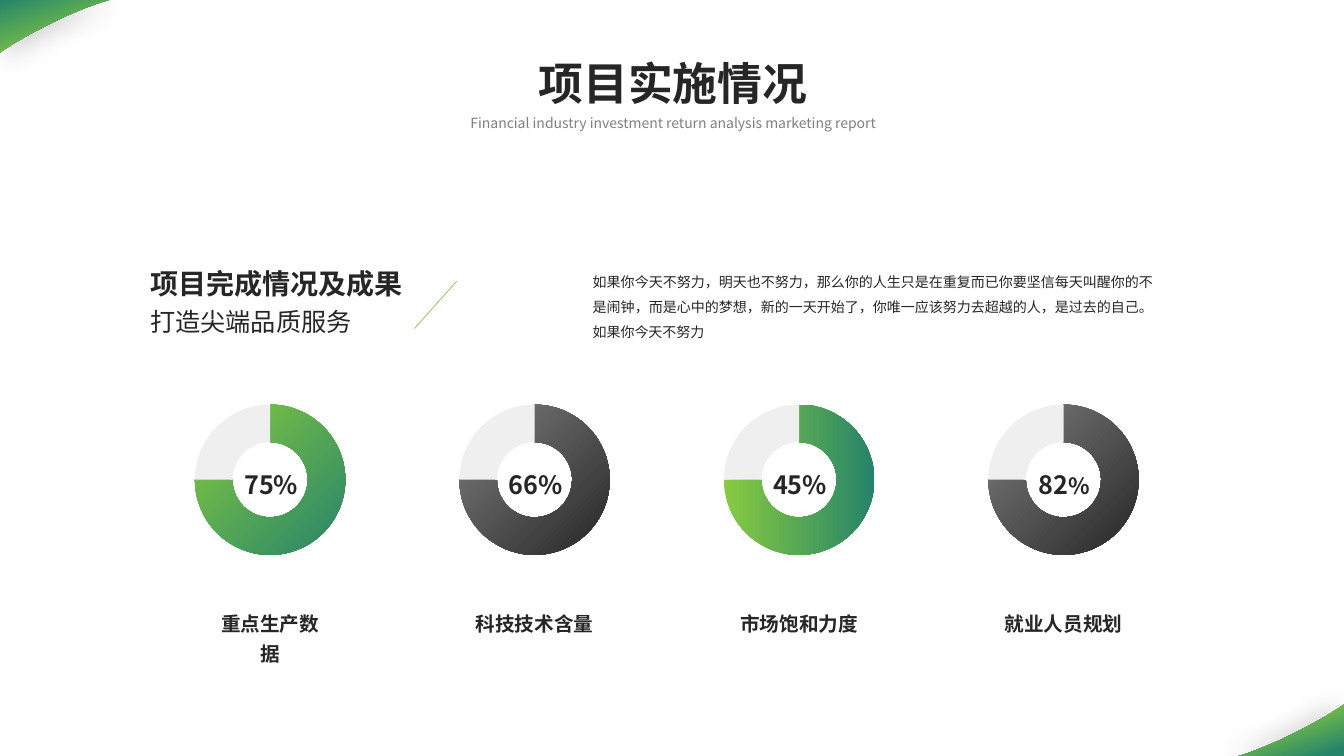
from lxml import etree
from pptx import Presentation
from pptx.chart.data import CategoryChartData
from pptx.dml.color import RGBColor
from pptx.enum.chart import XL_CHART_TYPE
from pptx.enum.shapes import MSO_CONNECTOR
from pptx.enum.text import MSO_ANCHOR, MSO_AUTO_SIZE, PP_ALIGN
from pptx.oxml import parse_xml
from pptx.oxml.ns import nsdecls, qn
from pptx.util import Inches, Pt

FONT = "Noto Sans CJK SC"
CHART_FONT = "Arial Narrow"
BLACK = RGBColor(0x00, 0x00, 0x00)
INK = RGBColor(0x26, 0x26, 0x26)
GREY = RGBColor(0x80, 0x80, 0x80)
PALE = RGBColor(0xEF, 0xEF, 0xEF)
LIME = RGBColor(0x88, 0xCB, 0x40)
TEAL = RGBColor(0x25, 0x84, 0x6A)


def fill_box(box, place, runs, align=PP_ALIGN.LEFT, spacing=1.0,
             anchor=MSO_ANCHOR.TOP):
    """Place a text shape and write one paragraph of (text, size, bold, colour) runs."""
    box.left, box.top, box.width, box.height = [Inches(length) for length in place]
    frame = box.text_frame
    frame.word_wrap = True
    frame.auto_size = MSO_AUTO_SIZE.NONE
    frame.vertical_anchor = anchor
    para = frame.paragraphs[0]
    para.alignment = align
    para.line_spacing = spacing
    para.space_before = Pt(0)
    for text, size, bold, colour in runs:
        span = para.add_run()
        span.text = text
        span.font.size = Pt(size)
        span.font.bold = bold
        span.font.name = FONT
        span.font.color.rgb = colour
        east_asian = etree.SubElement(span.font._element, qn("a:ea"))
        east_asian.set("typeface", FONT)


def set_gradient(fill, stops, angle):
    """Fill with two (position, colour) stops; the angle runs clockwise."""
    fill.gradient()
    fill.gradient_angle = -angle % 360
    for stop, (position, colour) in zip(fill.gradient_stops, stops):
        stop.position = position
        stop.color.rgb = colour


deck = Presentation()
deck.slide_width, deck.slide_height = Inches(13.33), Inches(7.5)
page = deck.slides.add_slide(deck.slide_layouts[5])
shapes = page.shapes

# Corner ornaments: one curved wedge, turned half round for the lower right
curve = [(1.08, 0), (0.74, 0.09), (0.21, 0.37), (0, 0.52)]
edge = []
for step in range(25):
    t = step / 24
    weights = [(1 - t) ** 3, 3 * t * (1 - t) ** 2, 3 * t * t * (1 - t), t ** 3]
    edge.append(tuple(Inches(sum(w * point[axis] for w, point in zip(weights, curve)))
                      for axis in (0, 1)))
for left, top, turn, stops, shadow_angle in [
    (0, 0, 0, [(0, TEAL), (0.79, LIME)], 45),
    (12.25, 6.99, 180, [(0.09, TEAL), (0.74, LIME)], 180),
]:
    builder = shapes.build_freeform(0, 0)
    builder.add_line_segments(edge, close=True)
    corner = builder.convert_to_shape()
    corner.left, corner.top, corner.rotation = Inches(left), Inches(top), turn
    set_gradient(corner.fill, stops, 70)
    corner.line.fill.background()
    corner._element.spPr.append(parse_xml(
        f'<a:effectLst {nsdecls("a")}><a:outerShdw blurRad="{Pt(20)}" dist="{Pt(5)}" '
        f'dir="{shadow_angle * 60000}" algn="ctr" rotWithShape="0">'
        '<a:srgbClr val="000000"><a:alpha val="20000"/></a:srgbClr>'
        '</a:outerShdw></a:effectLst>'))

# Headings and introduction
fill_box(shapes.title, (5.23, 0.5, 2.89, 0.64),
         [("项目实施情况", 32, True, INK)], PP_ALIGN.CENTER)
for place, text, size, bold, colour, align, spacing in [
    ((3.63, 1.09, 6.09, 0.27),
     "Financial industry investment return analysis marketing report",
     10, False, GREY, PP_ALIGN.CENTER, 1.0),
    ((1.39, 2.59, 3.03, 0.44), "项目完成情况及成果", 20, True, INK, PP_ALIGN.LEFT, 1.0),
    ((1.39, 2.99, 3.03, 0.4), "打造尖端品质服务", 18, False, INK, PP_ALIGN.LEFT, 1.0),
    ((5.78, 2.58, 5.75, 0.82),
     "如果你今天不努力，明天也不努力，那么你的人生只是在重复而已你要坚信每天叫醒你的不是闹钟，"
     "而是心中的梦想，新的一天开始了，你唯一应该努力去超越的人，是过去的自己。如果你今天不努力",
     10, False, INK, PP_ALIGN.JUSTIFY, 1.5),
]:
    fill_box(shapes.add_textbox(0, 0, 0, 0), place, [(text, size, bold, colour)],
             align, spacing)

slash = shapes.add_connector(MSO_CONNECTOR.STRAIGHT, Inches(4.53), Inches(2.79),
                             Inches(4.11), Inches(3.26))
slash.line.color.rgb = LIME
slash.line.width = Pt(0.5)
etree.SubElement(slash._element.spPr, qn("a:effectLst"))

# Four rings, each with its figure and label
rings = [
    ("75", 18, "重点生产数据", 1.36, LIME, TEAL, 45),
    ("66", 18, "科技技术含量", 1.38, GREY, INK, 45),
    ("45", 18, "市场饱和力度", 1.38, LIME, TEAL, 0),
    ("82", 16, "就业人员规划", 1.38, GREY, INK, 45),
]
for index, (figure, sign_size, label, label_width, start, end, angle) in enumerate(rings):
    left = 1.8 + index * 2.623
    data = CategoryChartData()
    data.categories = ["1", "2"]
    data.add_series("Series 1", (75, 25))
    chart = shapes.add_chart(XL_CHART_TYPE.DOUGHNUT, Inches(left), Inches(3.85),
                             Inches(1.76), Inches(1.82), data).chart
    chart.has_legend = False
    chart.has_title = False
    chart.font.name = CHART_FONT
    chart.font.size = Pt(18)
    chart.font.color.rgb = BLACK
    plot = chart.plots[0]
    plot.vary_by_categories = True
    done, remaining = [plot.series[0].points[i].format for i in (0, 1)]
    set_gradient(done.fill, [(0, start), (1, end)], angle)
    remaining.fill.solid()
    remaining.fill.fore_color.rgb = PALE
    for part in (done, remaining):
        part.line.fill.background()
    plot._element.find(qn("c:holeSize")).set("val", "84")

    plot_area = chart._chartSpace.chart.plotArea
    for layout in plot_area.findall(qn("c:layout")):
        plot_area.remove(layout)
    plot_area.insert(0, parse_xml(
        f'<c:layout {nsdecls("c")}><c:manualLayout><c:layoutTarget val="inner"/>'
        '<c:xMode val="edge"/><c:yMode val="edge"/><c:x val="0.075"/><c:y val="0.09"/>'
        '<c:w val="0.85"/><c:h val="0.82"/></c:manualLayout></c:layout>'))

    if sign_size == 18:
        runs = [(figure + "%", 18, True, INK)]
    else:
        runs = [(figure, 18, True, INK), ("%", sign_size, True, INK)]
    fill_box(shapes.add_textbox(0, 0, 0, 0), (left + 0.375, 4.61, 1.03, 0.4), runs,
             PP_ALIGN.CENTER, anchor=MSO_ANCHOR.MIDDLE)
    fill_box(shapes.add_textbox(0, 0, 0, 0),
             (left + 0.88 - label_width / 2, 5.95, label_width, 0.38),
             [(label, 14, True, INK)], PP_ALIGN.CENTER, 1.3)

deck.save("out.pptx")
